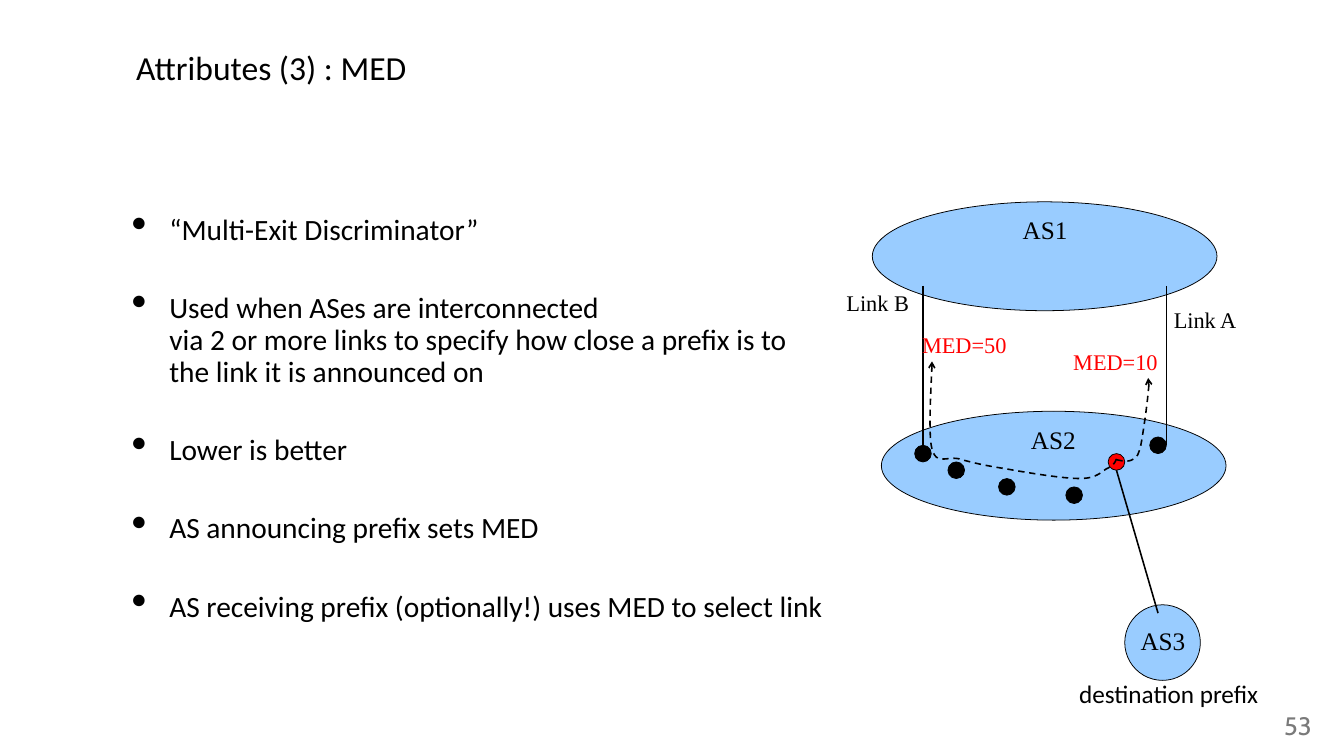
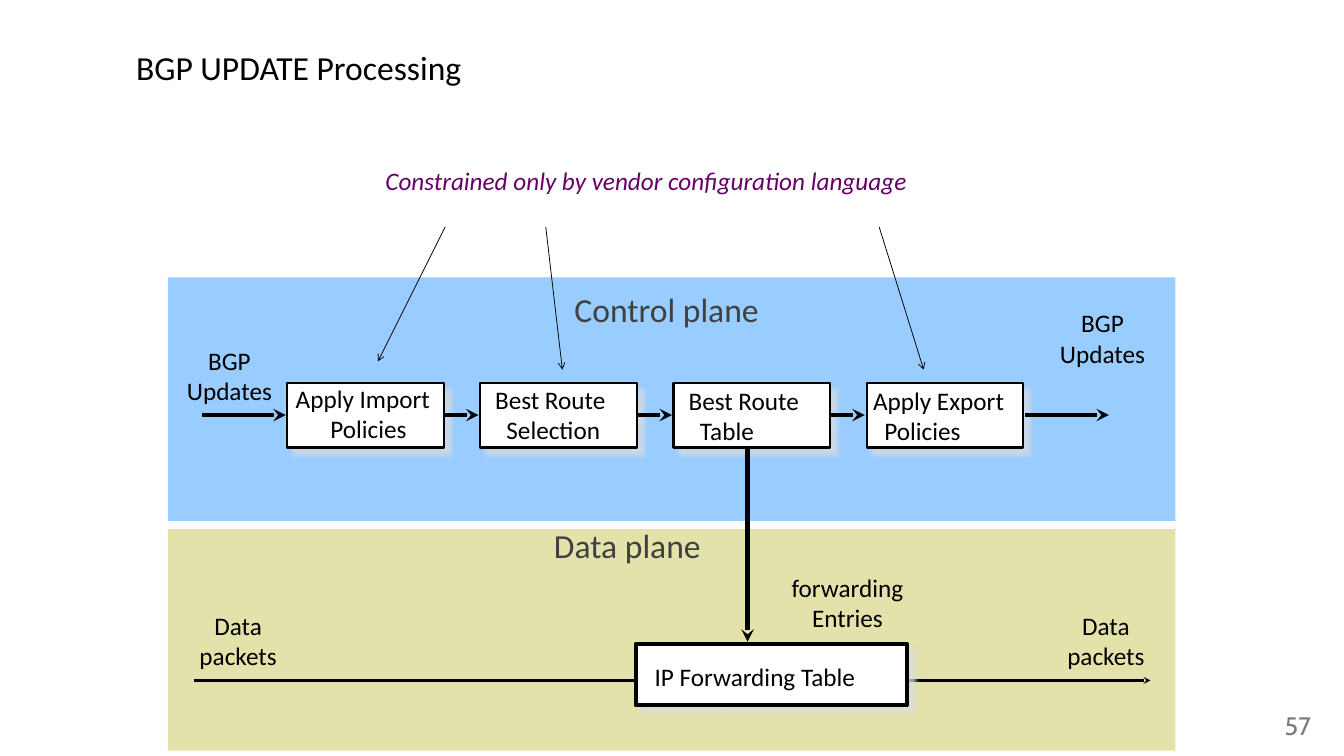
from dataclasses import dataclass

from lxml.etree import SubElement
from pptx import Presentation
from pptx.dml.color import RGBColor
from pptx.enum.dml import MSO_LINE
from pptx.enum.shapes import MSO_CONNECTOR, MSO_SHAPE
from pptx.enum.text import MSO_ANCHOR, MSO_AUTO_SIZE, PP_ALIGN
from pptx.oxml.ns import qn
from pptx.slide import Slide
from pptx.util import Inches, Pt

BLACK = RGBColor(0x00, 0x00, 0x00)
WHITE = RGBColor(0xFF, 0xFF, 0xFF)
RED = RGBColor(0xFF, 0x00, 0x00)
SKY = RGBColor(0x99, 0xCC, 0xFF)
SAND = RGBColor(0xE2, 0xE2, 0xAA)
PURPLE = RGBColor(0x66, 0x00, 0x66)
DARK_GREY = RGBColor(0x40, 0x40, 0x40)
PAGE_GREY = RGBColor(0x7A, 0x7A, 0x7A)
SHADOW = RGBColor(0xDC, 0xDE, 0xE0)

SANS = "Calibri"
SERIF = "Times New Roman"
LEFT, CENTER = PP_ALIGN.LEFT, PP_ALIGN.CENTER
TIGHT = (0, 0)
NORMAL = (0.1, 0.05)
ROOMY = (0.13, 0.07)


@dataclass
class Label:
    lines: tuple[str, ...]
    left: float
    top: float
    width: float
    height: float
    size: float = 24
    color: RGBColor = BLACK
    font: str = SANS
    align: PP_ALIGN = LEFT
    inset: tuple[float, float] = NORMAL
    wrap: bool = False
    grow: bool = True
    italic: bool = False
    anchor: MSO_ANCHOR = MSO_ANCHOR.TOP
    spacing: float = 1
    later_indent: float = 0


@dataclass
class Figure:
    left: float
    top: float
    width: float
    height: float
    fill: RGBColor
    line_width: float = 0
    kind: MSO_SHAPE = MSO_SHAPE.RECTANGLE
    shadow: bool = False


@dataclass
class Link:
    start: tuple[float, float]
    end: tuple[float, float]
    width: float
    head: str = ""


@dataclass
class Step:
    lines: tuple[str, str]
    text_left: float
    text_top: float
    text_width: float
    align: PP_ALIGN = LEFT
    wrap: bool = False


def draw_label(page: Slide, label: Label):
    box = page.shapes.add_textbox(
        Inches(label.left), Inches(label.top), Inches(label.width), Inches(label.height))
    frame = box.text_frame
    frame.word_wrap = label.wrap
    frame.auto_size = MSO_AUTO_SIZE.SHAPE_TO_FIT_TEXT if label.grow else MSO_AUTO_SIZE.NONE
    frame.vertical_anchor = label.anchor
    frame.margin_left = frame.margin_right = Inches(label.inset[0])
    frame.margin_top = frame.margin_bottom = Inches(label.inset[1])
    for number, line in enumerate(label.lines):
        para = frame.add_paragraph() if number else frame.paragraphs[0]
        para.alignment = label.align
        para.line_spacing = label.spacing
        if number and label.later_indent:
            para._p.get_or_add_pPr().set("marL", str(Inches(label.later_indent)))
        for part_number, part in enumerate(line.split("\n")):
            if part_number:
                para.add_line_break()
            span = para.add_run()
            span.text = part
            span.font.name = label.font
            span.font.size = Pt(label.size)
            span.font.italic = label.italic
            span.font.color.rgb = label.color
    return frame


def draw_figure(page: Slide, figure: Figure) -> None:
    shape = page.shapes.add_shape(
        figure.kind, Inches(figure.left), Inches(figure.top),
        Inches(figure.width), Inches(figure.height))
    shape.shadow.inherit = False
    shape.fill.solid()
    shape.fill.fore_color.rgb = figure.fill
    if figure.line_width:
        shape.line.color.rgb = BLACK
        shape.line.width = Pt(figure.line_width)
    else:
        shape.line.fill.background()
    if figure.shadow:
        effects = shape.element.spPr.find(qn("a:effectLst"))
        outer = SubElement(effects, qn("a:outerShdw"), blurRad=str(Pt(5)),
                           dist=str(Pt(8.5)), dir="2700000", algn="ctr", rotWithShape="0")
        color = SubElement(outer, qn("a:srgbClr"), val=str(SHADOW))
        SubElement(color, qn("a:alpha"), val="75000")


def style_line(shape, width: float, head: str) -> None:
    shape.line.color.rgb = BLACK
    shape.line.width = Pt(width)
    if head:
        SubElement(shape.element.spPr.find(qn("a:ln")), qn("a:tailEnd"), type=head)


def draw_link(page: Slide, link: Link) -> None:
    connector = page.shapes.add_connector(
        MSO_CONNECTOR.STRAIGHT, *(Inches(value) for value in link.start + link.end))
    style_line(connector, link.width, link.head)
    SubElement(connector.element.spPr, qn("a:effectLst"))


def draw_route(page: Slide, points: list[tuple[float, float]]) -> None:
    steps = 12
    curve = []
    for first in range(0, len(points) - 1, 3):
        corners = points[first:first + 4]
        for step in range(1, steps + 1):
            t = step / steps
            weights = ((1 - t) ** 3, 3 * t * (1 - t) ** 2, 3 * t * t * (1 - t), t ** 3)
            curve.append(tuple(
                Inches(sum(weight * corner[axis] for weight, corner in zip(weights, corners)))
                for axis in (0, 1)))
    builder = page.shapes.build_freeform(Inches(points[0][0]), Inches(points[0][1]))
    builder.add_line_segments(curve, close=False)
    shape = builder.convert_to_shape()
    shape.shadow.inherit = False
    shape.fill.background()
    shape.line.dash_style = MSO_LINE.DASH
    style_line(shape, 1.5, "arrow")


def add_page(deck, title: str, number: str) -> Slide:
    page = deck.slides.add_slide(deck.slide_layouts[6])
    draw_label(page, Label((title,), 1.74, 0, 14.31, 1.78, 32, inset=(0.06, 0.06),
                           wrap=True, grow=False, anchor=MSO_ANCHOR.MIDDLE))
    draw_label(page, Label((number,), 16.94, 9.39, 0.46, 0.5, color=PAGE_GREY,
                           font="Cabin", align=CENTER, inset=TIGHT))
    return page


def draw_bullets(page: Slide, lines: tuple[str, ...]) -> None:
    frame = draw_label(page, Label(lines, 1.74, 2.4, 9.14, 6.29, 28, inset=TIGHT, wrap=True,
                                   grow=False, anchor=MSO_ANCHOR.MIDDLE, spacing=0.9))
    for number, para in enumerate(frame.paragraphs):
        if number:
            para.space_before = Pt(44.5)
        properties = para._p.get_or_add_pPr()
        properties.set("marL", str(Inches(0.5)))
        properties.set("indent", str(-Inches(0.5)))
        SubElement(properties, qn("a:buSzPct"), val="150000")
        SubElement(properties, qn("a:buChar"), char="•")


def build_med(deck) -> None:
    page = add_page(deck, "Attributes (3) : MED", "53")
    draw_bullets(page, (
        "“Multi-Exit Discriminator”",
        "Used when ASes are interconnected\nvia 2 or more links to specify how close "
        "a prefix is to the link it is announced on",
        "Lower is better",
        "AS announcing prefix sets MED",
        "AS receiving prefix (optionally!) uses MED to select link",
    ))
    for left, top in ((11.54, 2.67), (11.66, 5.44)):
        draw_figure(page, Figure(left, top, 4.56, 1.44, SKY, 0.75, MSO_SHAPE.OVAL))
    for x in (12.21, 15.43):
        draw_link(page, Link((x, 3.78), (x, 5.89), 1.5))
    routers = ((12.1, 5.89, BLACK), (12.54, 6.11, BLACK), (14.1, 6.44, BLACK),
               (14.66, 6, RED), (15.21, 5.78, BLACK), (13.21, 6.33, BLACK))
    for left, top, color in routers:
        draw_figure(page, Figure(left, top, 0.22, 0.22, color, 0.75, MSO_SHAPE.OVAL))
    draw_route(page, [
        (14.77, 6.08), (14.85, 6.1), (14.93, 6.11), (14.98, 6.08), (15.03, 6.05),
        (15.05, 6.05), (15.09, 5.9), (15.12, 5.75), (15.18, 5.33), (15.19, 5.18),
        (15.21, 5.03), (15.19, 5.03), (15.19, 5)])
    draw_route(page, [
        (14.77, 6.07), (14.75, 6.12), (14.73, 6.16), (14.64, 6.2), (14.56, 6.25),
        (14.5, 6.33), (14.28, 6.33), (14.06, 6.33), (13.57, 6.25), (13.3, 6.2),
        (13.04, 6.16), (12.86, 6.12), (12.69, 6.07), (12.53, 6.03), (12.39, 6.16),
        (12.33, 5.94), (12.27, 5.73), (12.33, 4.97), (12.33, 4.78)])
    draw_figure(page, Figure(14.88, 8, 1, 1, SKY, 0.75, MSO_SHAPE.OVAL))
    draw_link(page, Link((14.77, 6.22), (15.32, 8.11), 1.5))
    for text, left, top, width, color in (
            ("Link B", 11.1, 3.78, 1.04, BLACK), ("Link A", 15.43, 4, 1.06, BLACK),
            ("MED=10", 14.1, 4.56, 1.33, RED), ("MED=50", 12.1, 4.33, 1.33, RED)):
        draw_label(page, Label((text,), left, top, width, 0.46, 21.3, color, SERIF))
    for text, left, top in (("AS1", 13.43, 2.78), ("AS2", 13.54, 5.56), ("AS3", 14.99, 8.22)):
        draw_label(page, Label((text,), left, top, 0.8, 0.5, font=SERIF))
    draw_label(page, Label(("destination prefix",), 13.4, 9, 4.12, 0.43, align=CENTER,
                           wrap=True, spacing=0.8))


def build_update(deck) -> None:
    page = add_page(deck, "BGP UPDATE Processing", "57")
    draw_figure(page, Figure(2.22, 7, 13.33, 2.93, SAND))
    draw_link(page, Link((2.56, 9), (15.22, 9), 2.25, "stealth"))
    draw_figure(page, Figure(2.22, 3.67, 13.33, 3.22, SKY))
    steps = (
        Step(("Apply Import", "Policies"), 3.77, 5, 2.06, CENTER),
        Step(("Best Route", "Selection"), 6.42, 5.01, 1.76),
        Step(("Best Route", "Table"), 8.98, 5.03, 1.83),
        Step(("Apply Export", "Policies"), 11.42, 5.03, 2.02, wrap=True),
    )
    for number, step in enumerate(steps):
        draw_figure(page, Figure(3.8 + 2.555 * number, 5.07, 2.07, 0.85, WHITE, 2, shadow=True))
        draw_label(page, Label(step.lines, step.text_left, step.text_top, step.text_width, 0.94,
                               align=step.align, inset=ROOMY, wrap=step.wrap,
                               later_indent=0.15))
    for start, end in ((2.67, 3.78), (5.89, 6.33), (8.44, 8.89), (11, 11.44), (13.56, 14.67)):
        draw_link(page, Link((start, 5.49), (end, 5.49), 4, "stealth"))
    draw_link(page, Link((9.89, 5.94), (9.89, 8.49), 4, "stealth"))
    for lines, left, top, width in (
            (("forwarding", "Entries"), 10.32, 7.5, 1.78),
            (("BGP", "Updates"), 2.33, 4.5, 1.41),
            (("BGP", "Updates"), 13.88, 4, 1.41),
            (("Data\npackets",), 2.49, 8, 1.32),
            (("Data\npackets",), 13.97, 8, 1.32)):
        draw_label(page, Label(lines, left, top, width, 0.94, align=CENTER, inset=ROOMY))
    draw_figure(page, Figure(8.41, 8.52, 3.59, 0.81, WHITE, 4, shadow=True))
    draw_label(page, Label(("IP Forwarding Table",), 8.53, 8.68, 2.98, 0.54, inset=ROOMY))
    draw_label(page, Label(("Constrained only by vendor configuration language",),
                           5, 2.14, 7.19, 0.5, color=PURPLE, italic=True))
    for start, end in (((5.89, 3), (5, 4.78)), ((7.22, 3), (7.44, 4.89)),
                       ((11.63, 3), (12.22, 4.89))):
        draw_link(page, Link(start, end, 0.75, "arrow"))
    for text, left, top, width in (("Data plane", 7.21, 6.89, 2.18),
                                   ("Control plane", 7.48, 3.77, 2.68)):
        draw_label(page, Label((text,), left, top, width, 0.64, 32, DARK_GREY, align=CENTER))


def main() -> None:
    deck = Presentation()
    deck.slide_width = Inches(17.78)
    deck.slide_height = Inches(10)
    build_med(deck)
    build_update(deck)
    deck.save("out.pptx")


if __name__ == "__main__":
    main()
